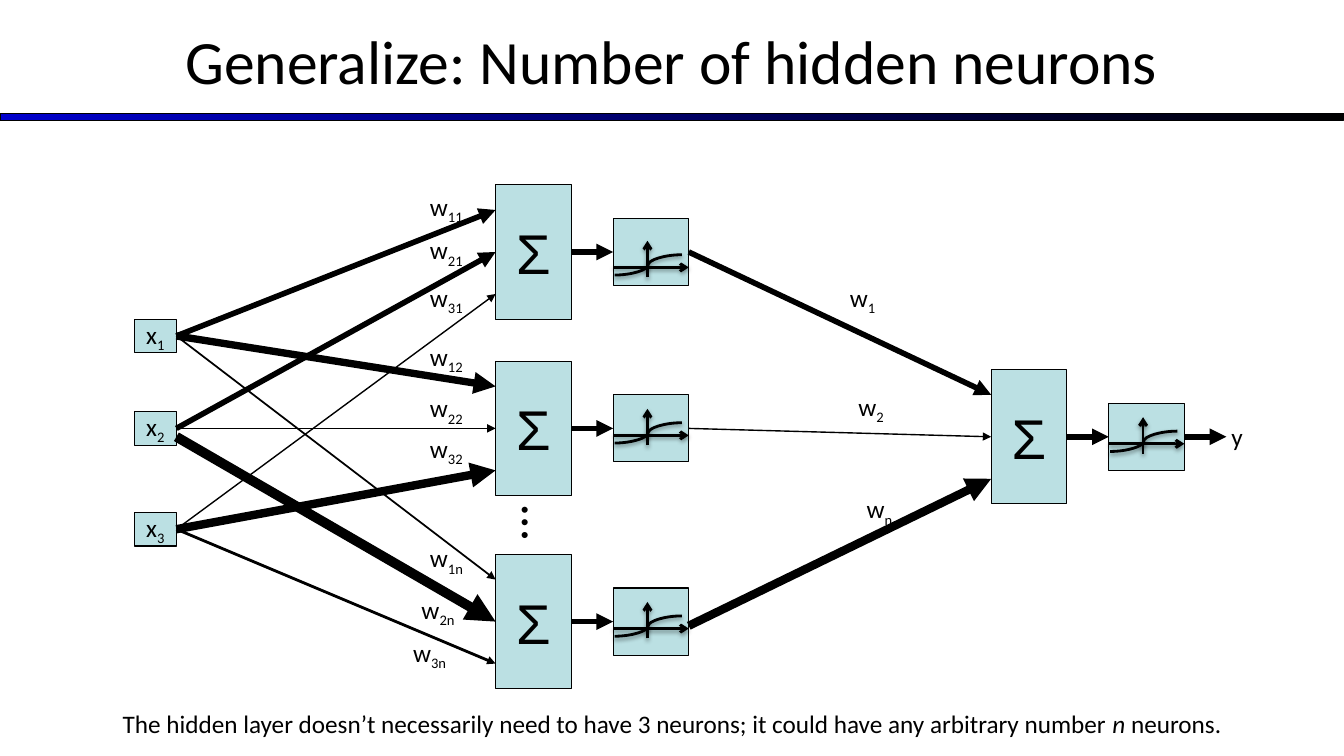
from lxml.etree import SubElement
from pptx import Presentation
from pptx.dml.color import RGBColor
from pptx.enum.shapes import MSO_CONNECTOR, MSO_SHAPE
from pptx.enum.text import MSO_ANCHOR, PP_ALIGN
from pptx.oxml.ns import qn
from pptx.util import Pt

BLACK = RGBColor(0x00, 0x00, 0x00)
BLUE = RGBColor(0x00, 0x00, 0xCC)
TEAL = RGBColor(0xBB, 0xE0, 0xE3)

NEURON_WIDTH, NEURON_HEIGHT = 54, 96
SQUASH_HEIGHT = 48
GAP = 30
PORT_STEP = 30


def write(frame, pieces, size=18, font="Calibri", align=PP_ALIGN.LEFT):
    """Fill a text frame with (text, style) pieces."""
    para = frame.paragraphs[0]
    para.alignment = align
    for text, style in pieces:
        span = para.add_run()
        span.text = text
        span.font.size = Pt(size)
        span.font.name = font
        span.font.color.rgb = BLACK
        if style == "italic":
            span.font.italic = True
        if style == "subscript":
            span._r.get_or_add_rPr().set("baseline", "-25000")


def add_label(slide, box, pieces, **styles):
    """Add a wrapping text box."""
    label = slide.shapes.add_textbox(*map(Pt, box))
    label.text_frame.word_wrap = True
    write(label.text_frame, pieces, **styles)
    return label


def add_weight(slide, left, top, subscript):
    """Add a connection weight such as w with a subscript."""
    add_label(slide, (left, top, 42, 32), [("w", None), (subscript, "subscript")])


def add_block(slide, box, pieces=(), **styles):
    """Add an outlined teal rectangle with centred text."""
    block = slide.shapes.add_shape(MSO_SHAPE.RECTANGLE, *map(Pt, box))
    block.shadow.inherit = False
    block.fill.solid()
    block.fill.fore_color.rgb = TEAL
    block.line.color.rgb = BLACK
    block.line.width = Pt(0.75)
    block.text_frame.word_wrap = False
    block.text_frame.vertical_anchor = MSO_ANCHOR.MIDDLE
    write(block.text_frame, pieces, align=PP_ALIGN.CENTER, **styles)
    return block


def add_line(slide, start, end, width, head="triangle", kind=MSO_CONNECTOR.STRAIGHT):
    """Add a black connector; return it with its empty effect list."""
    line = slide.shapes.add_connector(kind, *map(Pt, (*start, *end)))
    line.line.color.rgb = BLACK
    line.line.width = Pt(width)
    if head:
        SubElement(line.line._get_or_add_ln(), qn("a:tailEnd"), type=head)
    effects = SubElement(line._element.spPr, qn("a:effectLst"))
    return line, effects


def add_shaded_line(slide, start, end, **styles):
    """Add a two-point line with a soft shadow below it."""
    effects = add_line(slide, start, end, 2, **styles)[1]
    shadow = SubElement(effects, qn("a:outerShdw"), blurRad=str(int(Pt(3.1))),
                        dist=str(int(Pt(1.6))), dir="5400000", rotWithShape="0")
    colour = SubElement(shadow, qn("a:srgbClr"), val=str(BLACK))
    SubElement(colour, qn("a:alpha"), val="38000")


def draw_squash(slide, box, axis):
    """Draw an activation block with its axes and S-curve."""
    left, top, width, height = box
    block = add_block(slide, box)
    level, centre = top + axis, left + 24.5
    add_shaded_line(slide, (left, level), (left + width, level), head="arrow")
    add_shaded_line(slide, (centre, level + 7), (centre, level - 19), head="arrow")
    add_shaded_line(slide, (left + 1, level + 5.5), (left + 49, level - 9),
                    head=None, kind=MSO_CONNECTOR.CURVE)
    return block


def draw_neuron(slide, left, top, axis):
    """Draw a summing block joined to its activation block."""
    middle = top + NEURON_HEIGHT / 2
    right = left + NEURON_WIDTH
    neuron = add_block(slide, (left, top, NEURON_WIDTH, NEURON_HEIGHT),
                       [("Σ", None)], size=40, font="Arial")
    squash = draw_squash(slide, (right + GAP, middle - SQUASH_HEIGHT / 2,
                                 NEURON_WIDTH, SQUASH_HEIGHT), axis)
    link = add_line(slide, (right, middle), (right + GAP, middle), 4)[0]
    link.begin_connect(neuron, 3)
    link.end_connect(squash, 1)
    return neuron, squash


def connect(slide, source, target, port, width, drop=0):
    """Join a source's right side to port -1, 0 or 1 of a neuron."""
    start = (source.left.pt + source.width.pt,
             source.top.pt + source.height.pt / 2 + drop)
    end = (target.left.pt, target.top.pt + target.height.pt / 2 + port * PORT_STEP)
    line = add_line(slide, start, end, width)[0]
    if not drop:
        line.begin_connect(source, 3)
    if not port:
        line.end_connect(target, 1)


def draw_title(slide, box):
    """Place the title and the gradient rule crossing its foot."""
    left, top, width, height = box
    rule = slide.shapes.add_shape(MSO_SHAPE.RECTANGLE, Pt(left), Pt(top + 83),
                                  Pt(width), Pt(5))
    rule.shadow.inherit = False
    rule.fill.gradient()
    rule.fill.gradient_angle = 0
    for stop, colour, position in zip(rule.fill.gradient_stops, (BLUE, BLACK), (0, 1)):
        stop.color.rgb = colour
        stop.position = position
    rule.line.color.rgb = BLACK
    rule.line.width = Pt(0.75)
    title = slide.shapes.title
    title.left, title.top, title.width, title.height = map(Pt, box)
    title.text_frame.vertical_anchor = MSO_ANCHOR.MIDDLE
    write(title.text_frame, [("Generalize: Number of hidden neurons", None)],
          size=44, align=PP_ALIGN.CENTER)


def draw_inputs(slide, box):
    """Draw the three input blocks and return them."""
    left, top, width, _ = box
    return [add_block(slide, (left, top + offset, width, 24),
                      [("x", None), (str(number), "subscript")])
            for number, offset in enumerate((0, 66, 138), 1)]


def draw_hidden_layer(slide, box, inputs):
    """Draw the hidden neurons, their weighted inputs and the ellipsis."""
    left, top, _, _ = box
    rows = [
        ("1", 0, 35, (4, 4, 1), ((-54, 1), (-54, 32), (-54, 66))),
        ("2", 126, 29, (5.25, 1, 6), ((-54, 108), (-54, 145), (-54, 174))),
        ("n", 264, 29, (1.25, 7, 2), ((-54, 252), (-60, 289), (-66, 319.5))),
    ]
    squashes = []
    for name, offset, axis, widths, labels in rows:
        neuron, squash = draw_neuron(slide, left, top + offset, axis)
        squashes.append(squash)
        for index, (source, width, label) in enumerate(zip(inputs, widths, labels)):
            drop = 6 if (name, index) == ("n", 1) else 0
            connect(slide, source, neuron, index - 1, width, drop)
            add_weight(slide, left + label[0], top + label[1], f"{index + 1}{name}")
    dots = add_label(slide, (left + 14.5, top + 220, 42, 46), [("…", None)], size=36)
    dots.rotation = 90
    return squashes


def draw_output(slide, box, squashes):
    """Draw the output neuron with its weighted inputs and result."""
    left, top, width, _ = box
    neuron, squash = draw_neuron(slide, left, top, 29)
    links = zip(squashes, (4, 1, 6), (0, 0, 3), "12n", (-66, 12, 85))
    for index, (source, weight, drop, name, offset) in enumerate(links):
        connect(slide, source, neuron, index - 1, weight, drop)
        add_weight(slide, left - 108 + 6 * index, top + offset, name)
    right, middle = left + width, top + NEURON_HEIGHT / 2
    result = add_line(slide, (right, middle), (right + GAP, middle), 4)[0]
    result.begin_connect(squash, 3)
    add_label(slide, (right + 26.5, middle - 14.5, 66, 32), [("y", None)])


def draw_caption(slide, box):
    """Write the remark under the network."""
    add_label(slide, box, [
        ("The hidden layer doesn’t necessarily need to have 3 neurons; "
         "it could have any arbitrary number ", None),
        ("n", "italic"), (" neurons.", None)], align=PP_ALIGN.CENTER)


def main():
    """Build and save the deck."""
    deck = Presentation()
    deck.slide_width, deck.slide_height = Pt(960), Pt(540)
    page = deck.slides.add_slide(deck.slide_layouts[5])
    draw_title(page, (0, -2, 960, 90))
    inputs = draw_inputs(page, (96, 228, 30, 162))
    squashes = draw_hidden_layer(page, (354, 132, 138, 360), inputs)
    draw_output(page, (708, 264, 138, 96), squashes)
    draw_caption(page, (14.5, 502.5, 931, 30))
    deck.save("out.pptx")


if __name__ == "__main__":
    main()
